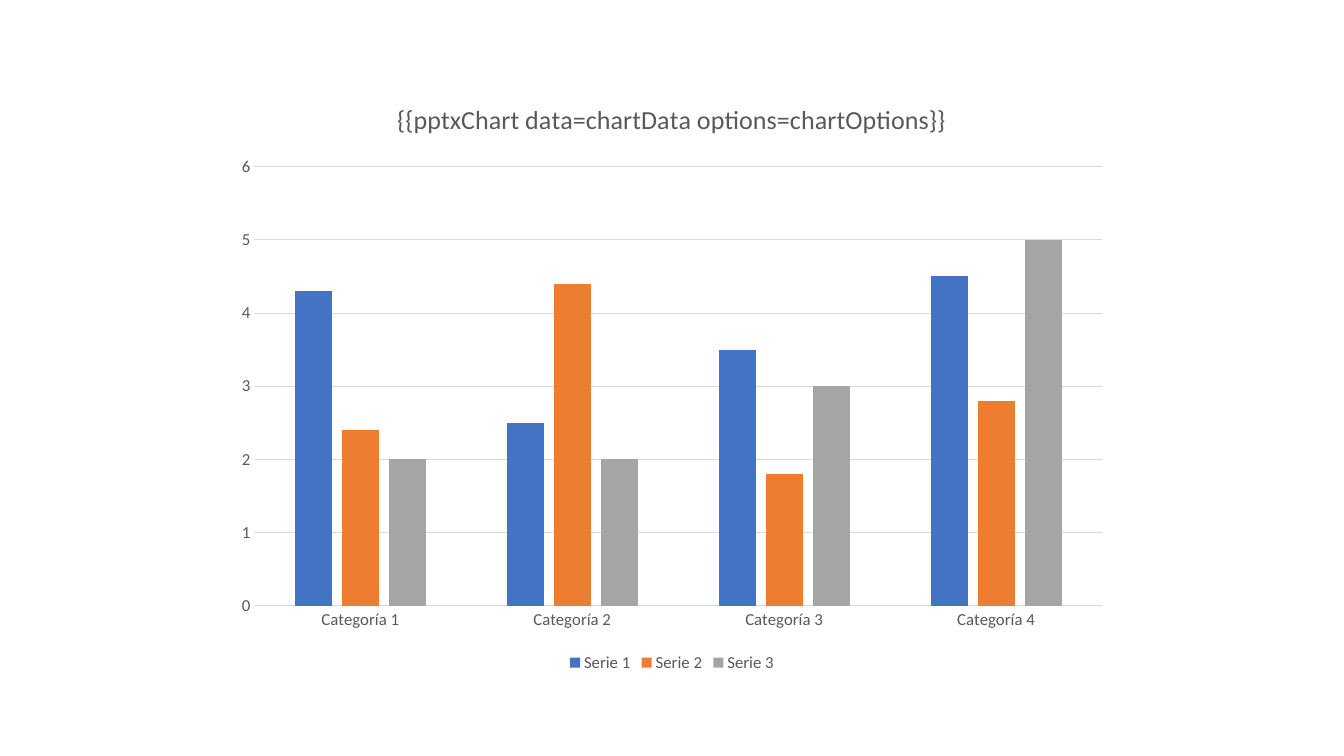
from typing import NamedTuple

from pptx import Presentation
from pptx.chart.chart import Chart
from pptx.chart.data import CategoryChartData
from pptx.dml.color import RGBColor
from pptx.dml.line import LineFormat
from pptx.enum.chart import XL_CHART_TYPE as ChartType
from pptx.enum.chart import XL_LEGEND_POSITION as LegendPosition
from pptx.enum.chart import XL_TICK_MARK as TickMark
from pptx.text.text import Font
from pptx.util import Pt

FONT_NAME = "Calibri"
TEXT_COLOR = "595959"
GRID_COLOR = "D9D9D9"
TITLE = "{{pptxChart data=chartData options=chartOptions}}"
CATEGORIES = [f"Categoría {number}" for number in range(1, 5)]


class Series(NamedTuple):
    name: str
    values: tuple[float, ...]
    color: str


SERIES = (
    Series("Serie 1", (4.3, 2.5, 3.5, 4.5), "4472C4"),
    Series("Serie 2", (2.4, 4.4, 1.8, 2.8), "ED7D31"),
    Series("Serie 3", (2, 2, 3, 5), "A5A5A5"),
)


def rgb(color: str) -> RGBColor:
    return RGBColor.from_string(color)


def style_font(font: Font, size: float) -> None:
    font.name = FONT_NAME
    font.size = Pt(size)
    font.bold = False
    font.color.rgb = rgb(TEXT_COLOR)


def style_line(line: LineFormat) -> None:
    line.color.rgb = rgb(GRID_COLOR)
    line.width = Pt(0.75)


def style_title(chart: Chart) -> None:
    chart.has_title = True
    chart.chart_title.include_in_layout = False
    paragraph = chart.chart_title.text_frame.paragraphs[0]
    paragraph.text = TITLE
    style_font(paragraph.runs[0].font, 18.6)


def style_axes(chart: Chart) -> None:
    for axis in (chart.category_axis, chart.value_axis):
        axis.major_tick_mark = TickMark.NONE
        axis.minor_tick_mark = TickMark.NONE
        style_font(axis.tick_labels.font, 12)
    style_line(chart.category_axis.format.line)
    value_axis = chart.value_axis
    value_axis.minimum_scale = 0
    value_axis.maximum_scale = 6
    value_axis.major_unit = 1
    value_axis.format.line.fill.background()
    value_axis.has_major_gridlines = True
    style_line(value_axis.major_gridlines.format.line)


def style_legend(chart: Chart) -> None:
    chart.has_legend = True
    chart.legend.position = LegendPosition.BOTTOM
    chart.legend.include_in_layout = False
    style_font(chart.legend.font, 12)


def style_columns(chart: Chart) -> None:
    plot = chart.plots[0]
    plot.vary_by_categories = False
    plot.gap_width = 219
    plot.overlap = -27
    for columns, series in zip(plot.series, SERIES):
        columns.format.fill.solid()
        columns.format.fill.fore_color.rgb = rgb(series.color)


def main() -> None:
    presentation = Presentation()
    presentation.slide_width = Pt(960)
    presentation.slide_height = Pt(540)
    slide = presentation.slides.add_slide(presentation.slide_layouts[6])

    chart_data = CategoryChartData()
    chart_data.categories = CATEGORIES
    for series in SERIES:
        chart_data.add_series(series.name, series.values)
    chart = slide.shapes.add_chart(
        ChartType.COLUMN_CLUSTERED, Pt(160), Pt(56.7), Pt(640), Pt(426.7), chart_data
    ).chart
    chart.font.name = FONT_NAME
    style_title(chart)
    style_axes(chart)
    style_legend(chart)
    style_columns(chart)
    presentation.save("out.pptx")


if __name__ == "__main__":
    main()
